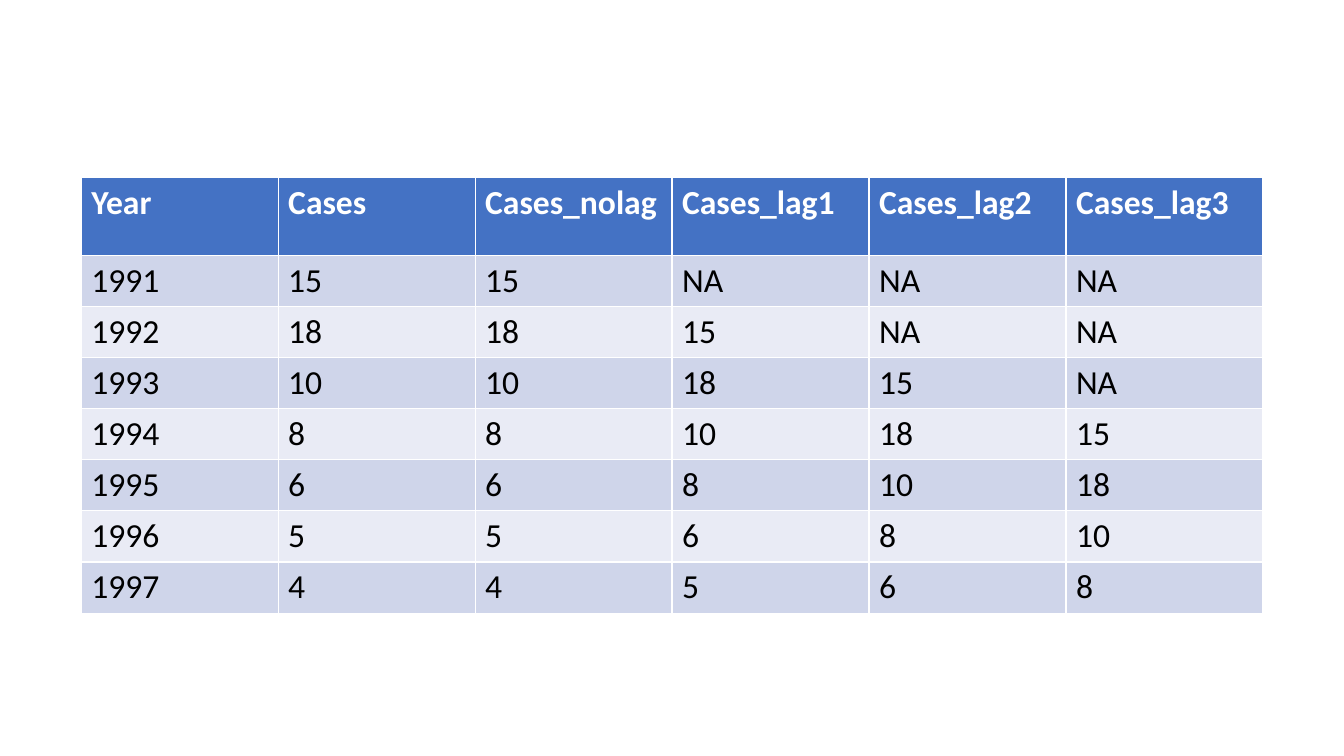
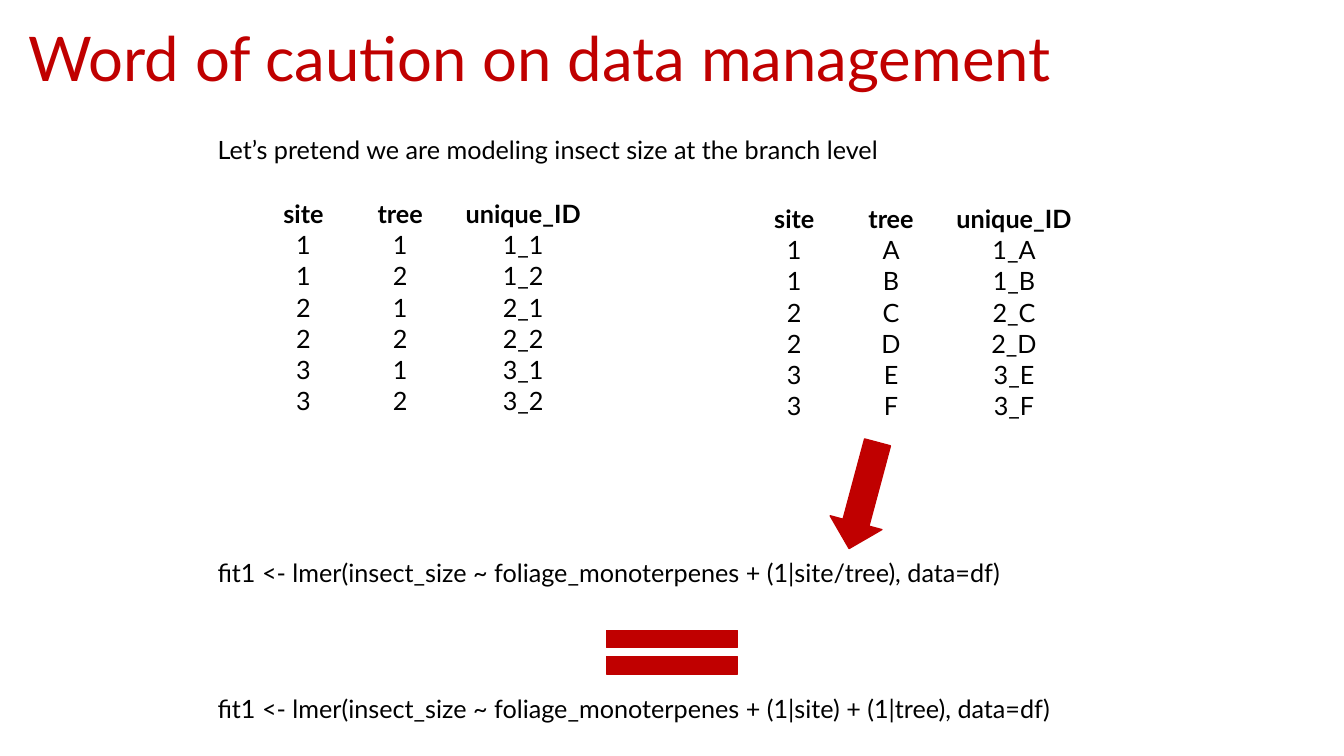
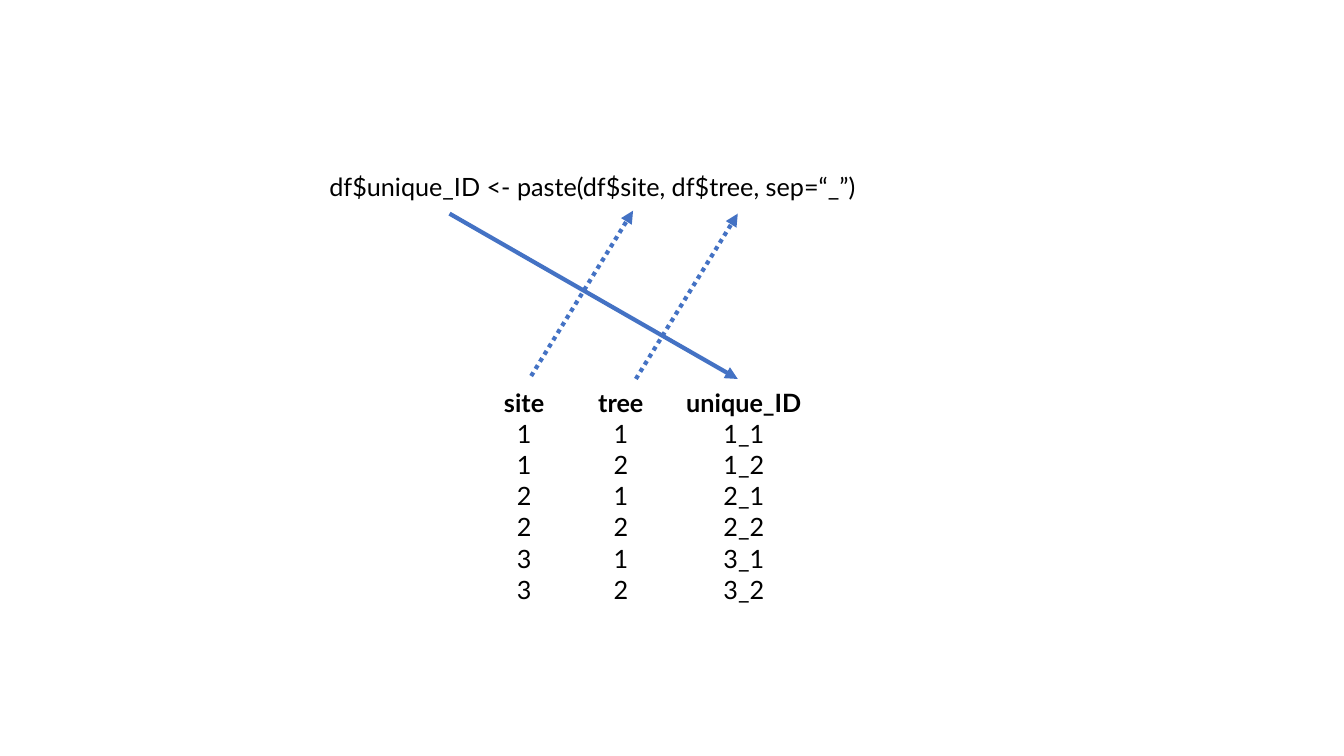
from dataclasses import dataclass
from typing import NamedTuple

from lxml.etree import SubElement
from pptx import Presentation
from pptx.dml.color import RGBColor
from pptx.enum.dml import MSO_LINE_DASH_STYLE as Dash
from pptx.enum.shapes import MSO_CONNECTOR_TYPE as Connector, MSO_SHAPE as Preset
from pptx.enum.text import MSO_ANCHOR as Anchor, MSO_AUTO_SIZE as AutoSize, PP_ALIGN as Align
from pptx.oxml.ns import qn
from pptx.util import Pt


class Box(NamedTuple):
    left: float
    top: float
    width: float
    height: float

    def lengths(self):
        return [Pt(value) for value in self]


@dataclass(frozen=True)
class Theme:
    black: RGBColor = RGBColor(0, 0, 0)
    white: RGBColor = RGBColor(255, 255, 255)
    red: RGBColor = RGBColor.from_string("C00000")
    blue: RGBColor = RGBColor.from_string("4472C4")
    bands: tuple = (RGBColor.from_string("CFD5EA"), RGBColor.from_string("E9EBF5"))
    text_font: str = "Lato"
    table_font: str = "Calibri"
    title_size: int = 44
    table_size: int = 24
    text_size: int = 18


THEME = Theme()
TITLE_ONLY, BLANK = 5, 6
CASES = [15, 18, 10, 8, 6, 5, 4]
FIRST_YEAR = 1991
SITES = [1, 1, 2, 2, 3, 3]
REPEATED_TREES = "121212"
UNIQUE_TREES = "ABCDEF"
SITE_TABLE_WIDTH, SITE_TABLE_HEIGHT = 244.8, 156.24


def style_font(font, color, size, name=THEME.text_font, bold=False):
    font.name = name
    font.size = Pt(size)
    font.bold = bold
    font.color.rgb = color


def add_title(page, box, text):
    title = page.shapes.title
    title.left, title.top, title.width, title.height = box.lengths()
    frame = title.text_frame
    frame.text = text
    frame.auto_size = AutoSize.NONE
    frame.vertical_anchor = Anchor.MIDDLE
    para = frame.paragraphs[0]
    para.alignment = Align.LEFT
    para.line_spacing = 0.9
    style_font(para.font, THEME.red, THEME.title_size)


def add_text_line(page, left, top, text):
    frame = page.shapes.add_textbox(*Box(left, top, 684.72, 29).lengths()).text_frame
    frame.word_wrap = True
    frame.auto_size = AutoSize.SHAPE_TO_FIT_TEXT
    frame.text = text
    style_font(frame.paragraphs[0].font, THEME.black, THEME.text_size)


def add_grid(page, box, rows, column_widths, row_heights, style_cell):
    table = page.shapes.add_table(len(rows), len(rows[0]), *box.lengths()).table
    for column, width in zip(table.columns, column_widths):
        column.width = Pt(width)
    for row, height in zip(table.rows, row_heights):
        row.height = Pt(height)
    for row_index, values in enumerate(rows):
        for column_index, value in enumerate(values):
            cell = table.cell(row_index, column_index)
            cell.text = str(value)
            style_cell(cell, cell.text_frame.paragraphs[0], row_index)


def style_lag_cell(cell, para, row_index):
    is_header = row_index == 0
    cell.fill.solid()
    cell.fill.fore_color.rgb = THEME.blue if is_header else THEME.bands[(row_index - 1) % 2]
    color = THEME.white if is_header else THEME.black
    style_font(para.font, color, THEME.table_size, THEME.table_font, is_header)


def style_site_cell(cell, para, row_index):
    cell.fill.background()
    cell.vertical_anchor = Anchor.BOTTOM
    cell.margin_left = cell.margin_right = cell.margin_top = Pt(0.7)
    cell.margin_bottom = Pt(0)
    para.alignment = Align.CENTER
    style_font(para.font, THEME.black, THEME.text_size, bold=row_index == 0)


def add_lag_table(page, box):
    lags = range(4)
    rows = [["Year", "Cases", "Cases_nolag"] + [f"Cases_lag{lag}" for lag in lags[1:]]]
    for index, count in enumerate(CASES):
        lagged = [CASES[index - lag] if index >= lag else "NA" for lag in lags]
        rows.append([FIRST_YEAR + index, count, *lagged])
    header_height = 55.4
    body_height = (box.height - header_height) / len(CASES)
    widths = [box.width / len(rows[0])] * len(rows[0])
    heights = [header_height] + [body_height] * len(CASES)
    add_grid(page, box, rows, widths, heights, style_lag_cell)


def add_site_table(page, left, top, trees):
    box = Box(left, top, SITE_TABLE_WIDTH, SITE_TABLE_HEIGHT)
    rows = [["site", "tree", "unique_ID"]]
    rows += [[site, tree, f"{site}_{tree}"] for site, tree in zip(SITES, trees)]
    heights = [box.height / len(rows)] * len(rows)
    add_grid(page, box, rows, [69.12, 69.12, 106.56], heights, style_site_cell)


def add_red_shape(page, preset, box, rotation=0):
    shape = page.shapes.add_shape(preset, *box.lengths())
    shape.rotation = rotation
    shape.shadow.inherit = False
    shape.fill.solid()
    shape.fill.fore_color.rgb = THEME.red
    shape.line.color.rgb = THEME.red
    shape.line.width = Pt(1)


def add_arrow(page, start, end, dash=None):
    arrow = page.shapes.add_connector(
        Connector.STRAIGHT, *[Pt(value) for value in (*start, *end)]
    )
    arrow.line.color.rgb = THEME.blue
    arrow.line.width = Pt(3)
    if dash:
        arrow.line.dash_style = dash
    SubElement(arrow.line._get_or_add_ln(), qn("a:tailEnd"), type="triangle")
    SubElement(arrow._element.spPr, qn("a:effectLst"))


def add_paste_arrows(page, box):
    right, bottom = box.left + box.width, box.top + box.height
    dotted_width, spacing, raise_by = 72.8, 74.8, 2.1
    for step in range(2):
        end_x = right - step * spacing
        shift = step * raise_by
        start = (end_x - dotted_width, bottom - shift)
        add_arrow(page, start, (end_x, box.top - shift), Dash.ROUND_DOT)
    add_arrow(page, (box.left, box.top), (right, bottom))


def build_lag_slide(deck):
    page = deck.slides.add_slide(deck.slide_layouts[BLANK])
    add_lag_table(page, Box(58, 127, 844.2, 307.4))


def build_caution_slide(deck):
    page = deck.slides.add_slide(deck.slide_layouts[TITLE_ONLY])
    add_title(page, Box(13, 7, 828, 74), "Word of caution on data management")
    text_left = 148.3
    model = "fit1 <- lmer(insect_size ~ foliage_monoterpenes + "
    add_text_line(
        page, text_left, 92.3, "Let’s pretend we are modeling insect size at the branch level"
    )
    add_site_table(page, 182.2, 141.1, REPEATED_TREES)
    add_site_table(page, 532.8, 144.7, UNIQUE_TREES)
    add_text_line(page, text_left, 394.6, model + "(1|site/tree), data=df)")
    add_text_line(page, text_left, 491.8, model + "(1|site) + (1|tree), data=df)")
    add_red_shape(page, Preset.RIGHT_ARROW, Box(577.4, 334.8, 78.5, 38.2), 105)
    add_red_shape(page, Preset.MATH_EQUAL, Box(416.2, 439.2, 127.4, 53.3))


def build_paste_slide(deck):
    page = deck.slides.add_slide(deck.slide_layouts[BLANK])
    add_site_table(page, 339.8, 275.8, REPEATED_TREES)
    add_text_line(page, 228.2, 118.8, "df$unique_ID <- paste(df$site, df$tree, sep=“_”)")
    add_paste_arrows(page, Box(321.1, 152.6, 205.9, 118.1))


def main():
    deck = Presentation()
    deck.slide_width, deck.slide_height = Pt(960), Pt(540)
    build_lag_slide(deck)
    build_caution_slide(deck)
    build_paste_slide(deck)
    deck.save("out.pptx")


if __name__ == "__main__":
    main()
